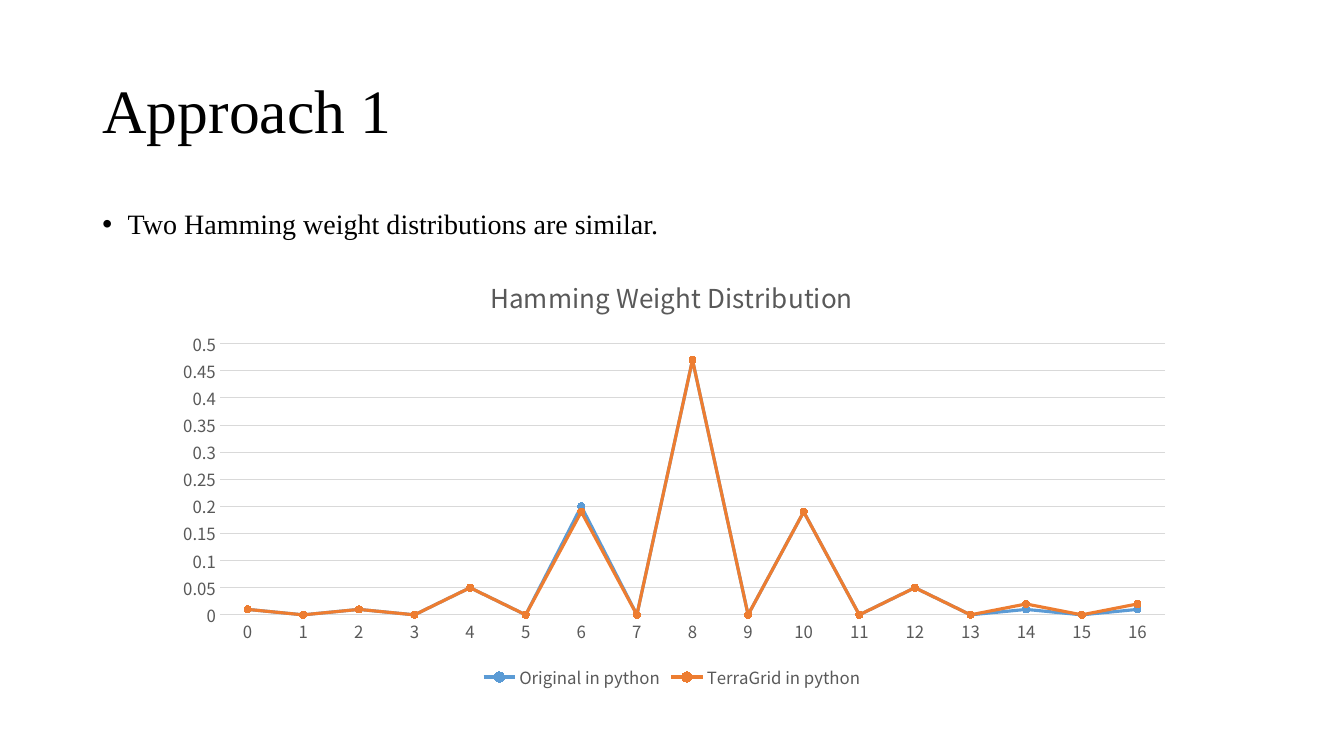
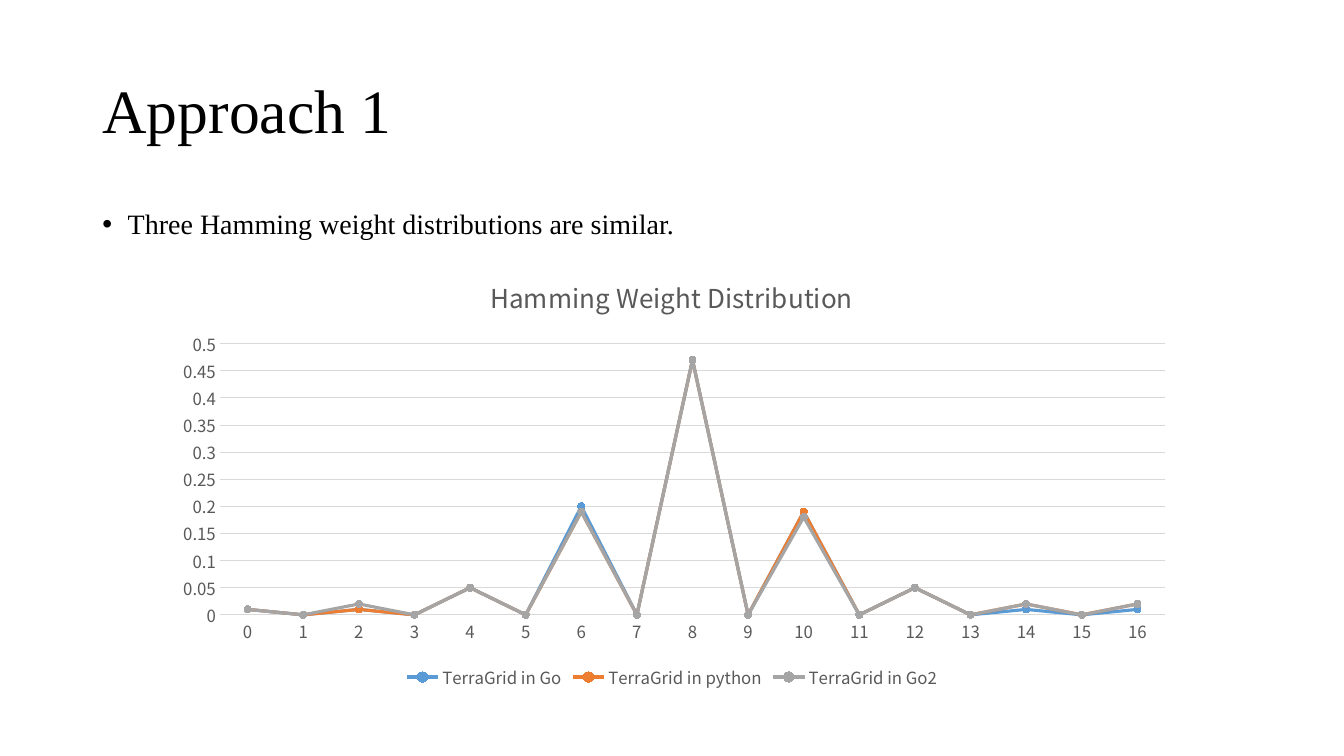
from lxml.etree import SubElement
from pptx import Presentation
from pptx.chart.data import CategoryChartData
from pptx.dml.color import RGBColor
from pptx.enum.chart import (
    XL_CHART_TYPE, XL_LEGEND_POSITION, XL_MARKER_STYLE, XL_TICK_MARK)
from pptx.enum.text import MSO_ANCHOR, MSO_AUTO_SIZE, PP_ALIGN
from pptx.oxml.ns import qn
from pptx.util import Pt

BLACK = RGBColor(0, 0, 0)
GRAY = RGBColor(0x59, 0x59, 0x59)
RULE = RGBColor(0xD9, 0xD9, 0xD9)
BLUE = RGBColor(0x5B, 0x9B, 0xD5)
ORANGE = RGBColor(0xED, 0x7D, 0x31)
SILVER = RGBColor(0xA5, 0xA5, 0xA5)
SERIF = "Times New Roman"
SANS = "Noto Sans CJK KR"

# Shares at the even weights; every odd weight has none.
BASE = [0.01, 0.01, 0.05, 0.2, 0.47, 0.19, 0.05, 0.01, 0.01]
PYTHON = [0.01, 0.01, 0.05, 0.19, 0.47, 0.19, 0.05, 0.02, 0.02]
GO_TWO = [0.01, 0.02, 0.05, 0.19, 0.47, 0.18, 0.05, 0.02, 0.02]
PAGES = [
    ("Two", [("Original in python", BASE, BLUE),
             ("TerraGrid in python", PYTHON, ORANGE)]),
    ("Three", [("TerraGrid in Go", BASE, BLUE),
               ("TerraGrid in python", PYTHON, ORANGE),
               ("TerraGrid in Go2", GO_TWO, SILVER)]),
]


def style(font, size, color=GRAY, face=SANS):
    font.size, font.name, font.bold = Pt(size), face, False
    font.color.rgb = color


def put_text(holder, text, box, size, anchor=MSO_ANCHOR.TOP, before=0,
             spacing=1.0, indent=None):
    """Fill and place a placeholder; indent hangs the bullet."""
    holder.left, holder.top, holder.width, holder.height = map(Pt, box)
    frame = holder.text_frame
    frame.text = text
    frame.word_wrap = True
    frame.auto_size = MSO_AUTO_SIZE.NONE
    frame.vertical_anchor = anchor
    para = frame.paragraphs[0]
    para.alignment = PP_ALIGN.LEFT
    para.space_before = Pt(before)
    para.line_spacing = spacing
    style(para.runs[0].font, size, BLACK, SERIF)
    if indent:
        props = para._p.get_or_add_pPr()
        props.set("marL", str(Pt(indent)))
        props.set("indent", str(-Pt(indent)))


def set_plot(chart, **shares):
    """Fix the inner plot area as shares of the chart frame."""
    area = chart._chartSpace.chart.plotArea
    layout = area.find(qn("c:layout"))
    if layout is None:
        layout = SubElement(area, qn("c:layout"))
        area.insert(0, layout)
    manual = SubElement(layout, qn("c:manualLayout"))
    parts = {"layoutTarget": "inner", "xMode": "edge", "yMode": "edge"}
    for name, value in {**parts, **shares}.items():
        SubElement(manual, qn("c:" + name)).set("val", str(value))


def format_axis(axis):
    axis.major_tick_mark = axis.minor_tick_mark = XL_TICK_MARK.NONE
    style(axis.tick_labels.font, 12)


def format_line(series, color):
    series.smooth = False
    series.format.line.color.rgb = color
    series.format.line.width = Pt(2.25)
    mark = series.marker
    mark.style, mark.size = XL_MARKER_STYLE.CIRCLE, 5
    mark.format.fill.solid()
    mark.format.fill.fore_color.rgb = color
    mark.format.line.color.rgb = color


def add_lines(slide, title, rows):
    data = CategoryChartData()
    data.categories = [str(weight) for weight in range(17)]
    for name, shares, _ in rows:
        data.add_series(name, [0 if weight % 2 else shares[weight // 2]
                               for weight in range(17)])
    chart = slide.shapes.add_chart(
        XL_CHART_TYPE.LINE_MARKERS, Pt(113), Pt(183), Pt(734), Pt(312.5),
        data).chart
    style(chart.font, 10, BLACK)
    chart.has_title = True
    chart.chart_title.text_frame.text = title
    chart.chart_title.include_in_layout = False
    style(chart.chart_title.text_frame.paragraphs[0].runs[0].font, 18.6)
    chart.has_legend = True
    chart.legend.position = XL_LEGEND_POSITION.BOTTOM
    chart.legend.include_in_layout = False
    style(chart.legend.font, 12)
    chart.plots[0].vary_by_categories = False
    for series, (_, _, color) in zip(chart.plots[0].series, rows):
        format_line(series, color)
    cats, vals = chart.category_axis, chart.value_axis
    format_axis(cats)
    format_axis(vals)
    vals.minimum_scale, vals.maximum_scale, vals.major_unit = 0, 0.5, 0.05
    vals.tick_labels.number_format = "General"
    vals.tick_labels.number_format_is_linked = False
    vals.format.line.fill.background()
    for line in (cats.format.line, vals.major_gridlines.format.line):
        line.color.rgb = RULE
        line.width = Pt(0.75)
    set_plot(chart, x=0.06, y=0.2, w=0.92, h=0.62)


def add_page(deck, count, rows):
    slide = deck.slides.add_slide(deck.slide_layouts[1])
    put_text(slide.shapes.title, "Approach 1", (66, 29, 828, 104), 44,
             anchor=MSO_ANCHOR.MIDDLE, spacing=0.9)
    put_text(slide.placeholders[1],
             f"{count} Hamming weight distributions are similar.",
             (66, 144, 828, 39), 20, before=10, indent=18)
    add_lines(slide, "Hamming Weight Distribution", rows)


def main():
    deck = Presentation()
    deck.slide_width, deck.slide_height = Pt(960), Pt(540)
    for count, rows in PAGES:
        add_page(deck, count, rows)
    deck.save("out.pptx")


if __name__ == "__main__":
    main()
